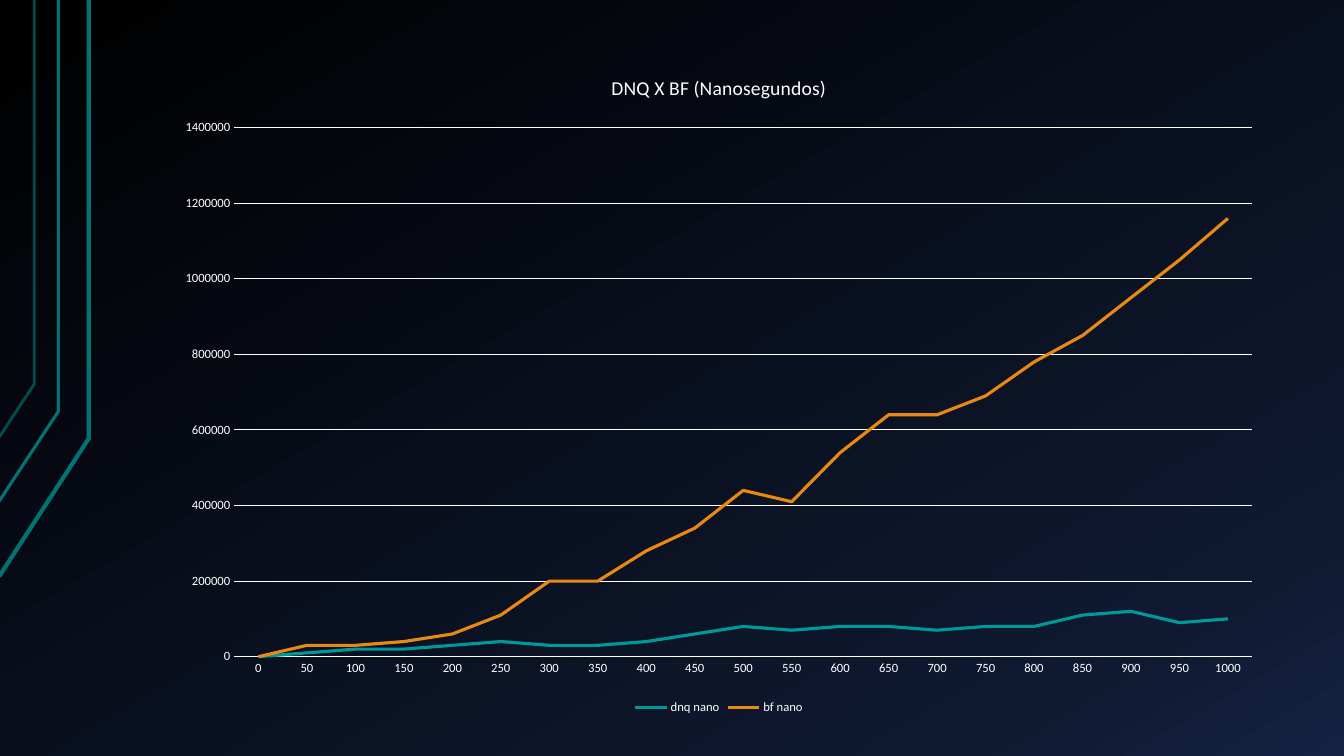
from dataclasses import dataclass

from lxml.etree import SubElement
from pptx import Presentation
from pptx.chart.data import CategoryChartData
from pptx.dml.color import RGBColor
from pptx.enum.chart import XL_CHART_TYPE, XL_LEGEND_POSITION, XL_TICK_MARK
from pptx.oxml import parse_xml
from pptx.oxml.ns import nsdecls, qn
from pptx.util import Inches, Pt


@dataclass(frozen=True)
class Theme:
    font: str = "Calibri"
    text: str = "FFFFFF"
    frame: str = "007373"
    series: tuple = ("009999", "E98915")
    back: tuple = ((0, "000000"), (85, "0F1931"), (100, "142242"))
    angle: int = 60
    title: int = 14
    base: int = 10
    label: int = 9
    grid: float = 0.75
    stroke: float = 2.25


THEME = Theme()

TITLE = "DNQ X BF (Nanosegundos)"
SIZES = [str(n) for n in range(0, 1001, 50)]
# Times in thousands of nanoseconds
TIMES = {
    "dnq nano": (0, 10, 20, 20, 30, 40, 30, 30, 40, 60, 80,
                 70, 80, 80, 70, 80, 80, 110, 120, 90, 100),
    "bf nano": (0, 30, 30, 40, 60, 110, 200, 200, 280, 340, 440,
                410, 540, 640, 640, 690, 780, 850, 950, 1050, 1160),
}
# Bent lines: right edge, bend, left edge, foot, width, opacity
BENDS = (
    (0.88, 4.35, -0.01, 5.72, 3, 100),
    (0.58, 4.08, -0.02, 4.99, 2.25, 100),
    (0.34, 3.81, -0.01, 4.34, 2, 65),
)


def style(font, size):
    font.name = THEME.font
    font.size = Pt(size)
    font.bold = False
    font.color.rgb = RGBColor.from_string(THEME.text)


def stroke(line, color, width):
    line.color.rgb = RGBColor.from_string(color)
    line.width = Pt(width)


def paint_back(slide):
    """Three-stop gradient behind the whole slide."""
    stops = "".join(
        f'<a:gs pos="{pos * 1000}"><a:srgbClr val="{color}"/></a:gs>'
        for pos, color in THEME.back)
    grad = parse_xml(
        f'<a:gradFill {nsdecls("a")} rotWithShape="1"><a:gsLst>{stops}</a:gsLst>'
        f'<a:lin ang="{THEME.angle * 60000}" scaled="0"/></a:gradFill>')
    fill = slide.background.fill
    fill.solid()
    solid = slide.element.find(".//" + qn("p:bgPr")).find(qn("a:solidFill"))
    solid.getparent().replace(solid, grad)


def draw_bends(slide, left, top):
    """Bent lines that run down from the top and off the left edge."""
    for right, bend, edge, foot, width, alpha in BENDS:
        path = slide.shapes.build_freeform(
            Inches(left + edge), Inches(top + foot))
        path.add_line_segments(
            [(Inches(left + right), Inches(top + bend)),
             (Inches(left + right), Inches(top))], close=False)
        shape = path.convert_to_shape()
        shape.shadow.inherit = False
        shape.fill.background()
        stroke(shape.line, THEME.frame, width)
        if alpha < 100:
            color = shape.line._ln.find(".//" + qn("a:srgbClr"))
            SubElement(color, qn("a:alpha"), val=str(alpha * 1000))


def draw_chart(slide, left, top, width, height):
    """Line chart with its title, axes and legend."""
    data = CategoryChartData()
    data.categories = SIZES
    for name, times in TIMES.items():
        data.add_series(name, [t * 1000 for t in times])
    chart = slide.shapes.add_chart(
        XL_CHART_TYPE.LINE, Inches(left), Inches(top),
        Inches(width), Inches(height), data).chart
    style(chart.font, THEME.base)

    # Title
    chart.has_title = True
    run = chart.chart_title.text_frame.paragraphs[0].add_run()
    run.text = TITLE
    style(run.font, THEME.title)
    chart.chart_title.include_in_layout = False

    # Axes
    for axis in (chart.category_axis, chart.value_axis):
        axis.major_tick_mark = axis.minor_tick_mark = XL_TICK_MARK.NONE
        style(axis.tick_labels.font, THEME.label)
    stroke(chart.category_axis.format.line, THEME.text, THEME.grid)
    scale = chart.value_axis
    scale.minimum_scale = 0
    scale.maximum_scale = 1400000
    scale.major_unit = 200000
    scale.format.line.fill.background()
    scale.has_major_gridlines = True
    stroke(scale.major_gridlines.format.line, THEME.text, THEME.grid)

    # Legend
    chart.has_legend = True
    chart.legend.position = XL_LEGEND_POSITION.BOTTOM
    chart.legend.include_in_layout = False
    style(chart.legend.font, THEME.label)

    # Series
    plot = chart.plots[0]
    plot.vary_by_categories = False
    for series, color in zip(plot.series, THEME.series):
        series.smooth = False
        stroke(series.format.line, color, THEME.stroke)


def main():
    deck = Presentation()
    deck.slide_width = Inches(13.33)
    deck.slide_height = Inches(7.5)
    slide = deck.slides.add_slide(deck.slide_layouts[6])
    paint_back(slide)
    draw_bends(slide, 0, 0)
    draw_chart(slide, 1.62, 0.52, 11.02, 6.61)
    deck.save("out.pptx")


if __name__ == "__main__":
    main()
